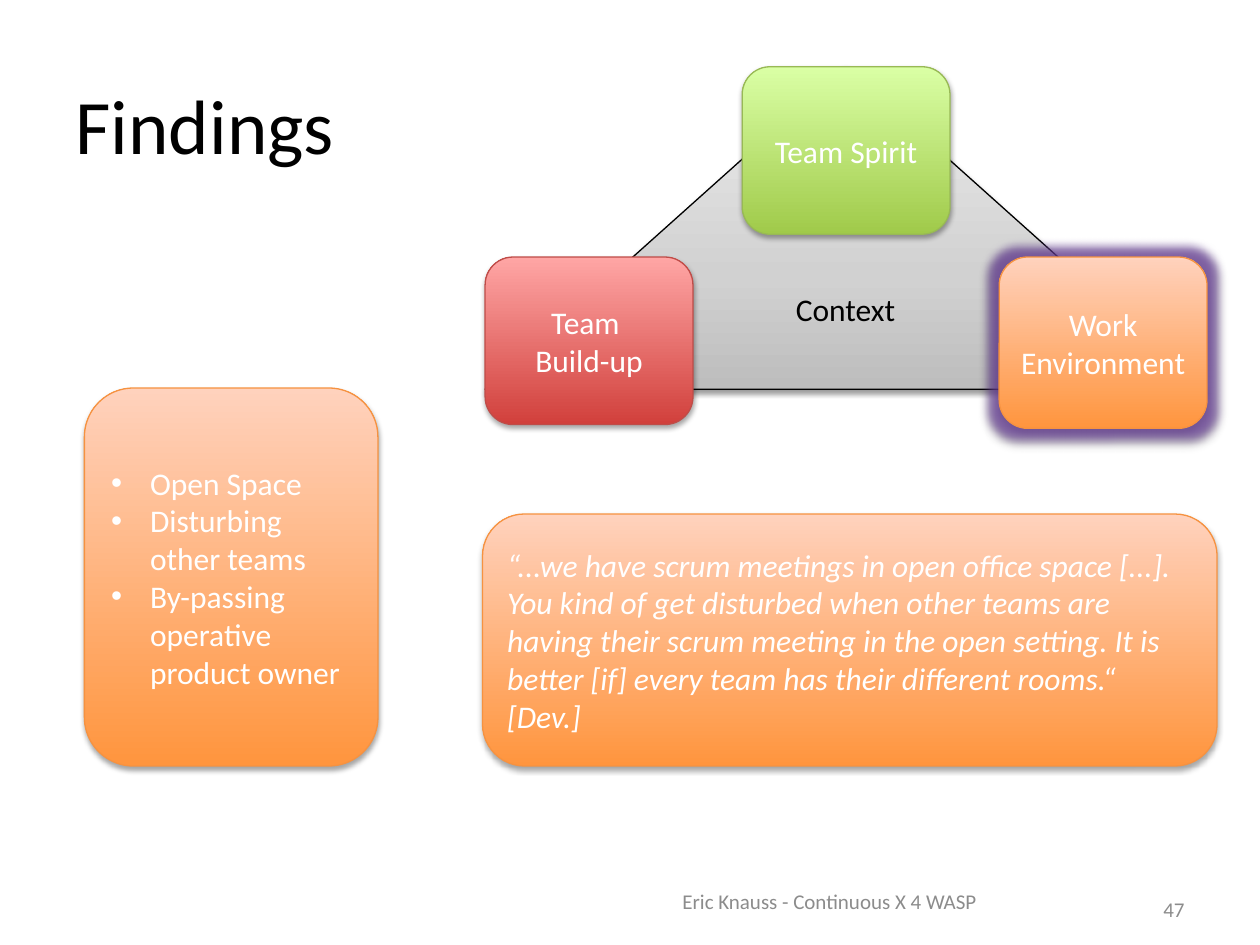
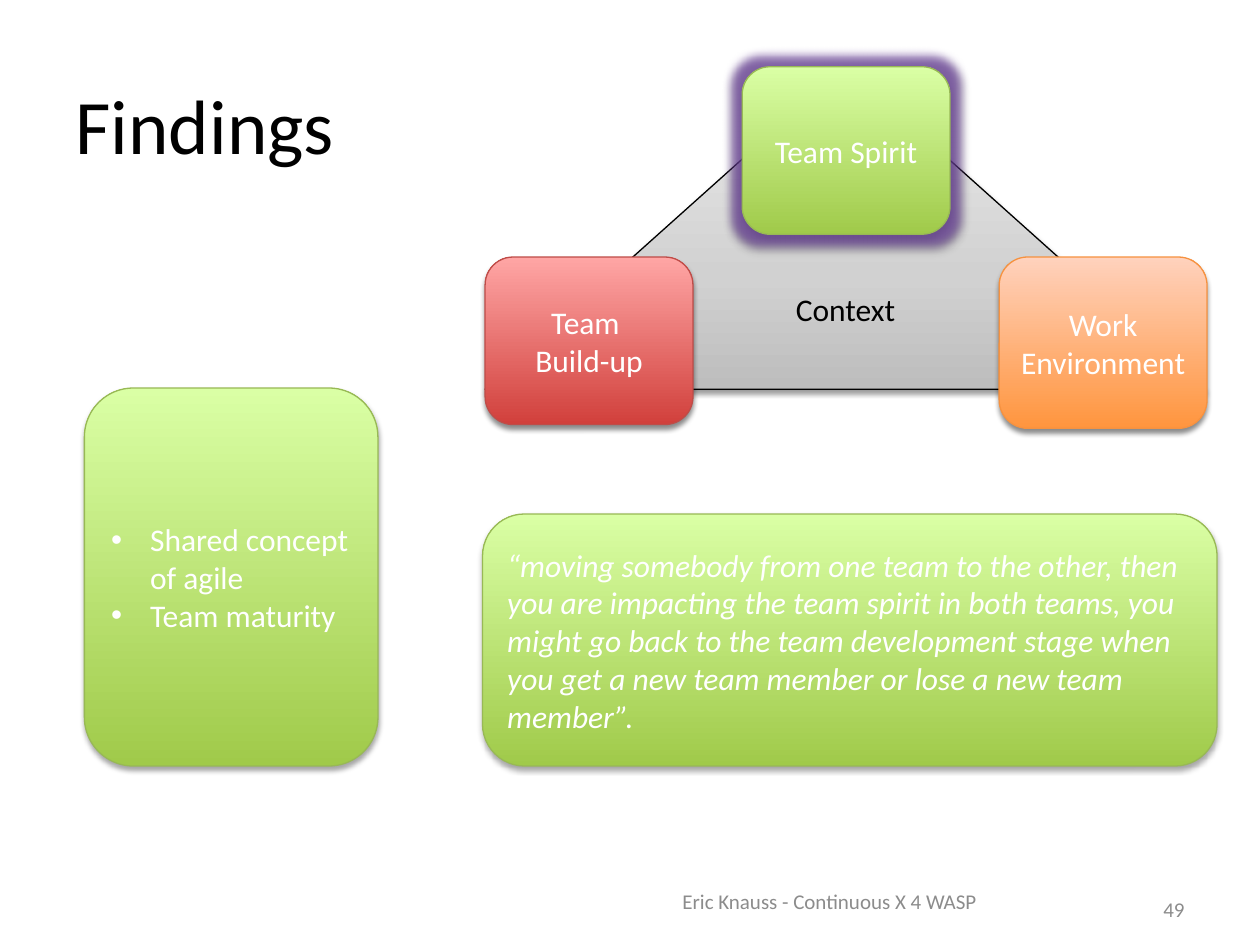
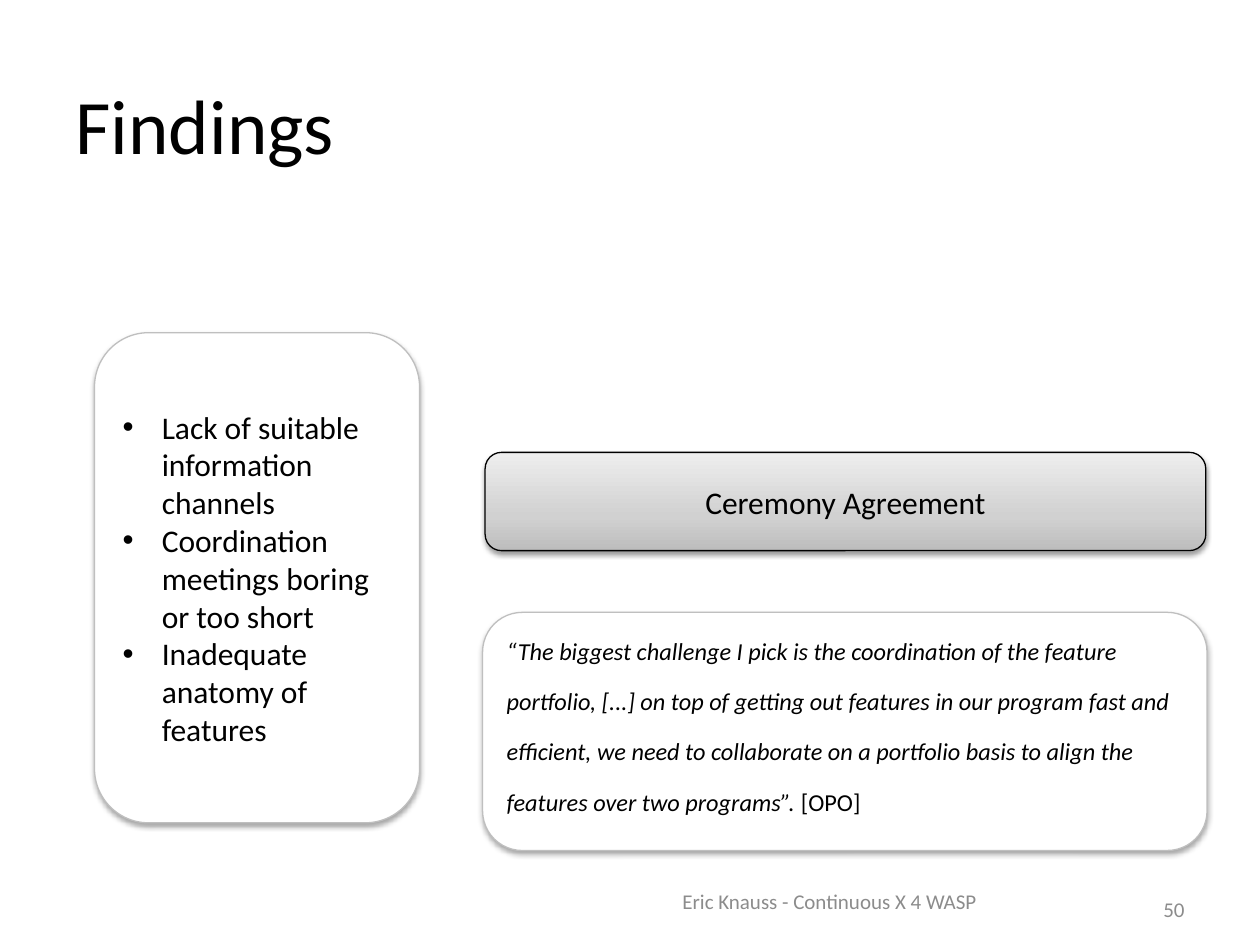
from lxml.etree import SubElement
from pptx import Presentation
from pptx.dml.color import RGBColor
from pptx.enum.shapes import MSO_SHAPE
from pptx.enum.text import MSO_ANCHOR, PP_ALIGN
from pptx.oxml.ns import qn
from pptx.util import Emu, Inches, Pt

# Content
TITLE = "Findings"
FOOTER = "Eric Knauss - Continuous X 4 WASP"
CONTEXT = "Context"
PILLARS = [  # label, theme, place
    ("Team Spirit", "green", (5.89, 0.53, 1.65, 1.33)),
    ("Work Environment", "orange", (7.93, 2.04, 1.65, 1.36)),
    ("Team \vBuild-up", "red", (3.85, 2.04, 1.65, 1.33)),
]
TRIANGLE_PAGES = [
    {
        "number": "47",
        "theme": "orange",
        "highlight": "Work Environment",
        "soft": ["Work Environment"],
        "points": ["Open Space", "Disturbing other teams",
                   "By-passing operative product owner"],
        "quote": "“...we have scrum meetings in open office space [...]. You kind of "
                 "get disturbed when other teams are having their scrum meeting in the "
                 "open setting. It is better [if] every team has their different "
                 "rooms.“ [Dev.]",
    },
    {
        "number": "49",
        "theme": "green",
        "highlight": "Team Spirit",
        "soft": [label for label, _, _ in PILLARS],
        "points": ["Shared concept of agile", "Team maturity"],
        "quote": "“moving somebody from one team to the other, then you are impacting "
                 "the team spirit in both teams, you might go back to the team "
                 "development stage when you get a new team member or lose a new team "
                 "member”.",
    },
]
CEREMONY_PAGE = {
    "number": "50",
    "heading": "Ceremony Agreement",
    "points": ["Lack of suitable information channels",
               "Coordination meetings boring or too short",
               "Inadequate anatomy of features"],
    "quote": "“The biggest challenge I pick is the coordination of the feature "
             "portfolio, [...] on top of getting out features in our program fast and "
             "efficient, we need to collaborate on a portfolio basis to align the "
             "features over two programs”. ",
    "speaker": "[OPO]",
}

# Shared look
COLORS = {"black": "000000", "white": "FFFFFF", "footer": "8C8C8C", "glow": "6A3F9C"}
THEMES = {  # gradient stops from bottom to top, outline, text colour
    "green": ([(0, "A0CA4A"), (100, "DAFFA5")], "98B955", "white"),
    "orange": ([(0, "FF953E"), (100, "FFD2BD")], "F69240", "white"),
    "red": ([(0, "D1403C"), (100, "FFA6A5")], "BF4C48", "white"),
    "gray": ([(0, "BDBDBD"), (35, "D1D1D1"), (100, "EEEEEE")], "000000", "black"),
    "plain": ([(0, "FFFFFF")], "BFBFBF", "black"),
}
SHADOWS = {  # opacity in percent, blur and distance in points
    "normal": (35, 3.1, 1.8),
    "soft": (45, 3, 2.4),
    "gray": (38, 3.1, 1.6),
}
INDENT = Inches(0.31)


def inches(place):
    return [Inches(value) for value in place]


def add_color(parent, color, opacity=100):
    node = SubElement(parent, qn("a:srgbClr"), val=color)
    if opacity < 100:
        SubElement(node, qn("a:alpha"), val=str(opacity * 1000))


def add_bullet(para):
    props = para._p.get_or_add_pPr()
    props.set("marL", str(INDENT))
    props.set("indent", str(-INDENT))
    SubElement(props, qn("a:buFont"), typeface="Arial")
    SubElement(props, qn("a:buChar"), char="•")


def format_span(span, color, **formats):
    for name, value in {"name": "Calibri", "size": Pt(18), **formats}.items():
        setattr(span.font, name, value)
    span.font.color.rgb = RGBColor.from_string(COLORS[color])


def write(box, lines, color, align=PP_ALIGN.LEFT, bullets=False, **formats):
    frame = box.text_frame
    frame.word_wrap = True
    frame.vertical_anchor = MSO_ANCHOR.MIDDLE
    for index, line in enumerate(lines):
        para = frame.add_paragraph() if index else frame.paragraphs[0]
        para.text = line
        para.alignment = align
        if bullets:
            add_bullet(para)
        for span in para.runs:
            format_span(span, color, **formats)


def paint(shape, stops):
    if len(stops) == 1:
        shape.fill.solid()
        shape.fill.fore_color.rgb = RGBColor.from_string(stops[0][1])
        return
    shape.fill.gradient()
    shape.fill.gradient_angle = 90
    stop_list = shape._element.spPr.find(qn("a:gradFill")).find(qn("a:gsLst"))
    for node in list(stop_list):
        stop_list.remove(node)
    for position, color in stops:
        add_color(SubElement(stop_list, qn("a:gs"), pos=str(position * 1000)), color)


def add_effects(shape, shadow, glow):
    shape.shadow.inherit = False
    effects = shape._element.spPr.find(qn("a:effectLst"))
    if glow:
        add_color(SubElement(effects, qn("a:glow"), rad=str(Pt(11))), COLORS["glow"], 70)
    opacity, blur, distance = SHADOWS[shadow]
    node = SubElement(effects, qn("a:outerShdw"), blurRad=str(Emu(Pt(blur))),
                      dist=str(Emu(Pt(distance))), dir="5400000", rotWithShape="0")
    add_color(node, COLORS["black"], opacity)


def add_card(page, place, theme, lines, kind=MSO_SHAPE.ROUNDED_RECTANGLE,
             shadow="normal", glow=False, **text):
    stops, outline, color = THEMES[theme]
    card = page.shapes.add_shape(kind, *inches(place))
    paint(card, stops)
    card.line.color.rgb = RGBColor.from_string(outline)
    card.line.width = Pt(0.75)
    add_effects(card, shadow, glow)
    write(card, lines, color, **text)
    return card


def add_page(deck, number):
    page = deck.slides.add_slide(deck.slide_layouts[5])
    title = page.shapes.title
    title.left, title.top, title.width, title.height = inches((0.5, 0.51, 9, 0.94))
    write(title, [TITLE], "black", size=Pt(44))
    for text, place, align in [
        (FOOTER, (5, 6.95, 3.17, 0.4), PP_ALIGN.CENTER),
        (number, (8.35, 7.09, 1.15, 0.25), PP_ALIGN.RIGHT),
    ]:
        box = page.shapes.add_textbox(*inches(place))
        write(box, [text], "footer", align, size=Pt(12))
    return page


def add_triangle_page(deck, content):
    page = add_page(deck, content["number"])
    add_card(page, (3.85, 0.53, 5.72, 2.56), "gray", [CONTEXT],
             kind=MSO_SHAPE.ISOSCELES_TRIANGLE, shadow="gray", align=PP_ALIGN.CENTER)
    for label, theme, place in PILLARS:
        add_card(page, place, theme, [label], align=PP_ALIGN.CENTER,
                 shadow="soft" if label in content["soft"] else "normal",
                 glow=label == content["highlight"])
    add_card(page, (3.83, 4.08, 5.83, 2), content["theme"], [content["quote"]], italic=True)
    add_card(page, (0.67, 3.08, 2.33, 3), content["theme"], content["points"], bullets=True)


def add_ceremony_page(deck, content):
    page = add_page(deck, content["number"])
    add_card(page, (3.85, 3.59, 5.72, 0.78), "gray", [content["heading"]],
             shadow="gray", align=PP_ALIGN.CENTER)
    add_card(page, (0.75, 2.64, 2.58, 3.89), "plain", content["points"], bullets=True)
    quote = add_card(page, (3.83, 4.86, 5.75, 1.89), "plain", [content["quote"]],
                     size=Pt(24), italic=True)
    para = quote.text_frame.paragraphs[0]
    speaker = para.add_run()
    speaker.text = content["speaker"]
    format_span(speaker, "black", size=Pt(24), italic=False)
    # The whole quote is raised as superscript
    for span in para.runs:
        span.font._element.set("baseline", "30000")


def main():
    deck = Presentation()
    deck.slide_width, deck.slide_height = Inches(10), Inches(7.5)
    for content in TRIANGLE_PAGES:
        add_triangle_page(deck, content)
    add_ceremony_page(deck, CEREMONY_PAGE)
    deck.save("out.pptx")


if __name__ == "__main__":
    main()
